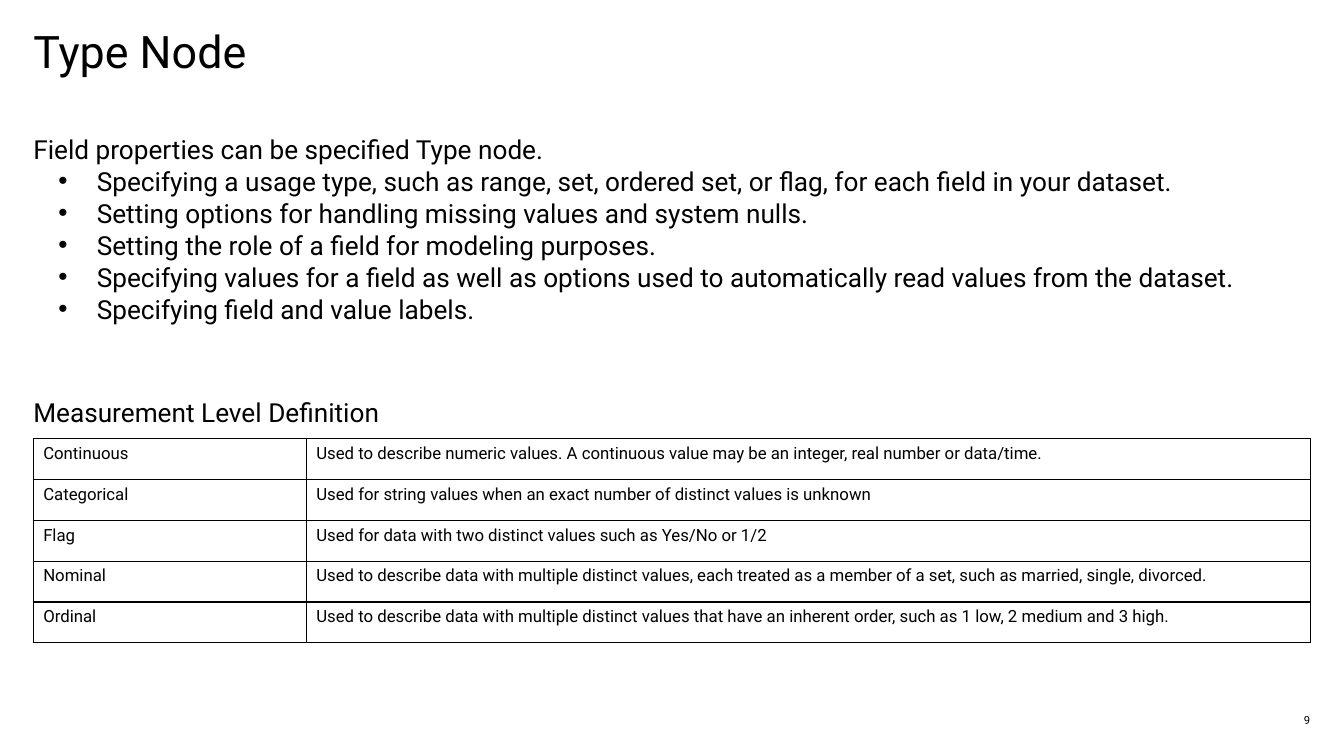
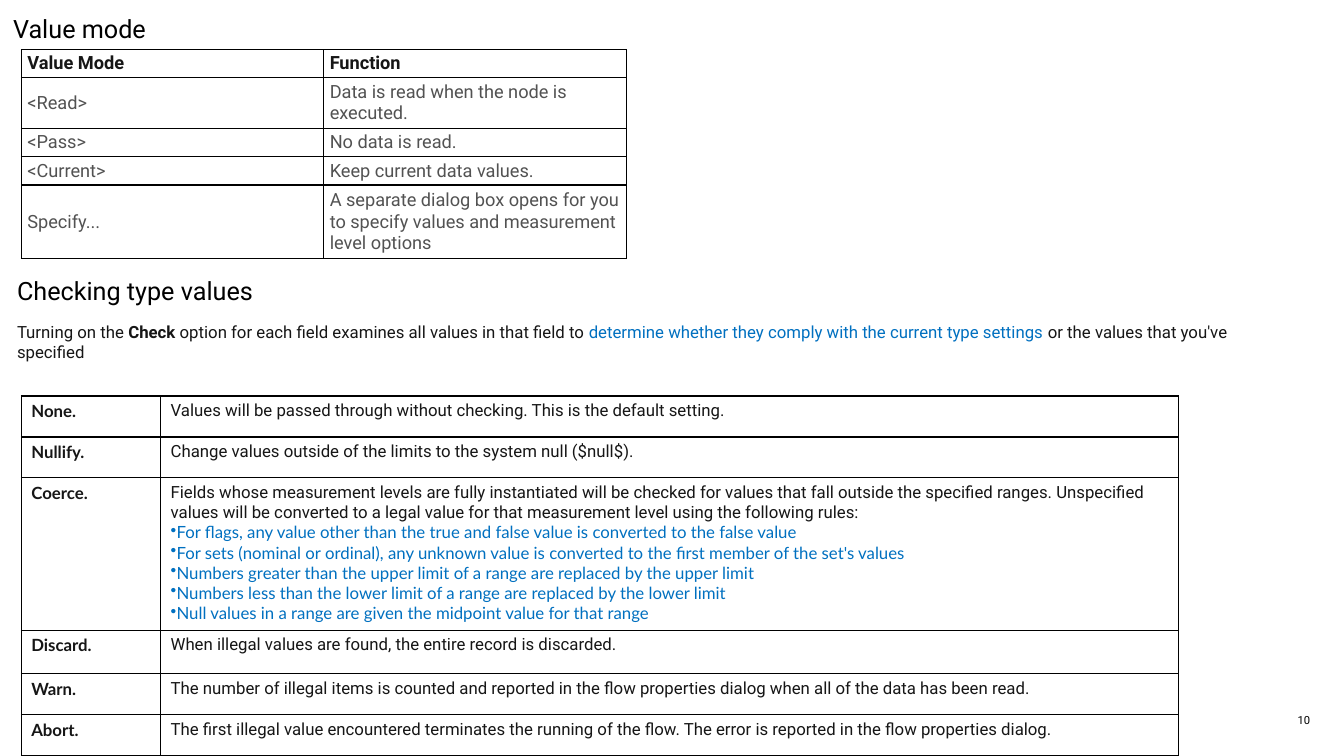
from lxml.etree import SubElement
from pptx import Presentation
from pptx.dml.color import RGBColor
from pptx.enum.text import MSO_ANCHOR, MSO_AUTO_SIZE, PP_ALIGN
from pptx.oxml.ns import qn
from pptx.util import Cm, Pt

BLACK, INK, GREY, BLUE = "000000", "161616", "525252", "0070C0"
TEXT_FONT, LABEL_FONT = "Roboto", "Lato"
SLIDE_SIZE = (33.87, 19.05)
PAGE_NUMBER_BOX = (25.4, 17.88, 7.62, 0.51)
NO_INSETS, TEXT_INSETS, TIGHT_INSETS = (0, 0), (0.25, 0.13), (0.15, 0.08)

FIELD_PROPERTIES = [
    "Specifying a usage type, such as range, set, ordered set, or flag, for each field in your dataset.",
    "Setting options for handling missing values and system nulls.",
    "Setting the role of a field for modeling purposes.",
    "Specifying values for a field as well as options used to automatically read values from the dataset.",
    "Specifying field and value labels.",
]
MEASUREMENT_LEVELS = [
    ("Continuous", "Used to describe numeric values. A continuous value may be an integer, real number or data/time."),
    ("Categorical", "Used for string values when an exact number of distinct values is unknown"),
    ("Flag", "Used for data with two distinct values such as Yes/No or 1/2"),
    ("Nominal", "Used to describe data with multiple distinct values, each treated as a member of a set, "
                "such as married, single, divorced."),
    ("Ordinal", "Used to describe data with multiple distinct values that have an inherent order, "
                "such as 1 low, 2 medium and 3 high."),
]
VALUE_MODES = [
    ("Value Mode", "Function"),
    ("<Read>", "Data is read when the node is executed."),
    ("<Pass>", "No data is read."),
    ("<Current>", "Keep current data values."),
    ("Specify...", "A separate dialog box opens for you to specify values and measurement level options"),
]
CHECK_INTRO = [
    ("Turning on the ", INK, False),
    ("Check", INK, True),
    (" option for each field examines all values in that field to ", INK, False),
    ("determine whether they comply with the current type settings ", BLUE, False),
    ("or the values that you've specified", INK, False),
]
CHECK_SETTINGS = [
    ("None.", "Values will be passed through without checking. This is the default setting."),
    ("Nullify.", "Change values outside of the limits to the system null ($null$)."),
    ("Coerce.", "Fields whose measurement levels are fully instantiated will be checked for values that fall "
                "outside the specified ranges. Unspecified values will be converted to a legal value for that "
                "measurement level using the following rules:"),
    ("Discard.", "When illegal values are found, the entire record is discarded."),
    ("Warn.", "The number of illegal items is counted and reported in the flow properties dialog "
              "when all of the data has been read."),
    ("Abort.", "The first illegal value encountered terminates the running of the flow. "
               "The error is reported in the flow properties dialog."),
]
COERCE_RULES = [
    "For flags, any value other than the true and false value is converted to the false value",
    "For sets (nominal or ordinal), any unknown value is converted to the first member of the set's values",
    "Numbers greater than the upper limit of a range are replaced by the upper limit",
    "Numbers less than the lower limit of a range are replaced by the lower limit",
    "Null values in a range are given the midpoint value for that range",
]


def color(hex_value):
    return RGBColor.from_string(hex_value)


def style(paragraph, size, hex_value=BLACK, name=TEXT_FONT, bold=False):
    font = paragraph.font
    font.size, font.name, font.bold = Pt(size), name, bold
    font.color.rgb = color(hex_value)


def set_bullet(paragraph, char=None, left=0, hanging=0):
    properties = paragraph._p.get_or_add_pPr()
    properties.set("marL", str(Cm(left)))
    properties.set("indent", str(-Cm(hanging)))
    if char:
        SubElement(properties, qn("a:buChar")).set("char", char)
    else:
        SubElement(properties, qn("a:buNone"))


def next_paragraph(frame):
    first = frame.paragraphs[0]
    return frame.add_paragraph() if first.runs else first


def place(shape, box):
    shape.left, shape.top, shape.width, shape.height = map(Cm, box)


def set_frame(frame, insets, wrap=True, anchor=MSO_ANCHOR.TOP):
    frame.auto_size = MSO_AUTO_SIZE.NONE
    frame.word_wrap = wrap
    frame.vertical_anchor = anchor
    frame.margin_left = frame.margin_right = Cm(insets[0])
    frame.margin_top = frame.margin_bottom = Cm(insets[1])


def add_title(slide, box, text, size, insets=NO_INSETS, wrap=True):
    title = slide.shapes.title
    place(title, box)
    set_frame(title.text_frame, insets, wrap)
    title.text_frame.text = text
    paragraph = title.text_frame.paragraphs[0]
    paragraph.alignment = PP_ALIGN.LEFT
    paragraph.line_spacing = 0.9 if insets == NO_INSETS else 1.0
    style(paragraph, size)


def add_text(slide, box, insets=TEXT_INSETS, wrap=True, anchor=MSO_ANCHOR.TOP):
    frame = slide.shapes.add_textbox(*map(Cm, box)).text_frame
    set_frame(frame, insets, wrap, anchor)
    return frame


def add_page_number(slide, number):
    frame = add_text(slide, PAGE_NUMBER_BOX, NO_INSETS, anchor=MSO_ANCHOR.MIDDLE)
    frame.text = str(number)
    frame.paragraphs[0].alignment = PP_ALIGN.RIGHT
    style(frame.paragraphs[0], 8)


def set_borders(cell):
    properties = cell._tc.get_or_add_tcPr()
    for side in ("lnL", "lnR", "lnT", "lnB"):
        line = SubElement(properties, qn(f"a:{side}"))
        line.set("w", str(Pt(1)))
        fill = SubElement(line, qn("a:solidFill"))
        SubElement(fill, qn("a:srgbClr")).set("val", BLACK)


def add_grid(slide, origin, column_widths, row_heights, rows, style_cell,
             insets=TEXT_INSETS, anchor=MSO_ANCHOR.TOP):
    size = (sum(column_widths), sum(row_heights))
    table = slide.shapes.add_table(len(rows), len(column_widths), *map(Cm, origin + size)).table
    table.first_row = table.horz_banding = False
    for column, width in zip(table.columns, column_widths):
        column.width = Cm(width)
    for row, height in zip(table.rows, row_heights):
        row.height = Cm(height)
    for r, texts in enumerate(rows):
        for c, text in enumerate(texts):
            cell = table.cell(r, c)
            set_borders(cell)
            cell.fill.background()
            cell.vertical_anchor = anchor
            cell.margin_left = cell.margin_right = Cm(insets[0])
            cell.margin_top = cell.margin_bottom = Cm(insets[1])
            cell.text_frame.text = text
            style_cell(cell.text_frame.paragraphs[0], r, c)
    return table


def add_field_properties(slide, box):
    body = slide.placeholders[1]
    place(body, box)
    frame = body.text_frame
    set_frame(frame, NO_INSETS)
    entries = [("Field properties can be specified Type node.", False, 0)]
    entries += [(text, True, 0.4) for text in FIELD_PROPERTIES]
    entries.append(("Measurement Level Definition", False, 51.5))
    for text, bulleted, space in entries:
        paragraph = next_paragraph(frame)
        paragraph.add_run().text = text
        paragraph.space_before = Pt(space)
        if bulleted:
            paragraph.level = 1
            set_bullet(paragraph, "•", 1.6, 0.97)
        else:
            set_bullet(paragraph)
        style(paragraph, 18.7)


def add_measurement_levels(slide, origin):
    def style_cell(paragraph, row, column):
        style(paragraph, 12)

    add_grid(slide, origin, (6.88, 25.3), [1.03] * len(MEASUREMENT_LEVELS),
             MEASUREMENT_LEVELS, style_cell)


def add_value_modes(slide, origin):
    def style_cell(paragraph, row, column):
        style(paragraph, 13, GREY if row else INK, bold=row == 0)

    add_grid(slide, origin, (7.62, 7.62), (0.71, 1.28, 0.71, 0.71, 1.86),
             VALUE_MODES, style_cell, TIGHT_INSETS, MSO_ANCHOR.MIDDLE)


def add_check_intro(slide, box):
    left, top, width, height = box
    heading = add_text(slide, (left, top, 6.58, 1.0), wrap=False)
    heading.text = "Checking type values"
    style(heading.paragraphs[0], 18)
    paragraph = add_text(slide, (left, top + 1.17, width, height - 1.17)).paragraphs[0]
    style(paragraph, 12, INK)
    for text, hex_value, bold in CHECK_INTRO:
        run = paragraph.add_run()
        run.text = text
        run.font.bold = bold
        run.font.color.rgb = color(hex_value)


def add_check_settings(slide, origin):
    def style_cell(paragraph, row, column):
        is_label = column == 0
        style(paragraph, 12, INK, LABEL_FONT if is_label else TEXT_FONT, is_label)

    settings = add_grid(slide, origin, (3.51, 25.65), (1.03, 1.03, 3.84, 1.1, 1.03, 1.03),
                        CHECK_SETTINGS, style_cell)
    coerce = settings.cell(2, 1).text_frame
    for rule in COERCE_RULES:
        paragraph = next_paragraph(coerce)
        paragraph.add_run().text = rule
        set_bullet(paragraph, "•")
        style(paragraph, 12, BLUE, LABEL_FONT)


def build_type_node(deck):
    slide = deck.slides.add_slide(deck.slide_layouts[1])
    add_title(slide, (0.84, 0.74, 32.18, 1.85), "Type Node", 32)
    add_field_properties(slide, (0.84, 3.35, 32.18, 13.49))
    add_measurement_levels(slide, (0.84, 11.05))
    add_page_number(slide, 9)


def build_value_checks(deck):
    slide = deck.slides.add_slide(deck.slide_layouts[5])
    add_title(slide, (0.08, 0.2, 3.94, 1.02), "Value mode", 18, TEXT_INSETS, wrap=False)
    add_value_modes(slide, (0.54, 1.25))
    add_check_intro(slide, (0.18, 6.8, 32.23, 2.44))
    add_check_settings(slide, (0.54, 9.98))
    add_page_number(slide, 10)


def main():
    deck = Presentation()
    deck.slide_width, deck.slide_height = map(Cm, SLIDE_SIZE)
    build_type_node(deck)
    build_value_checks(deck)
    deck.save("out.pptx")


if __name__ == "__main__":
    main()
